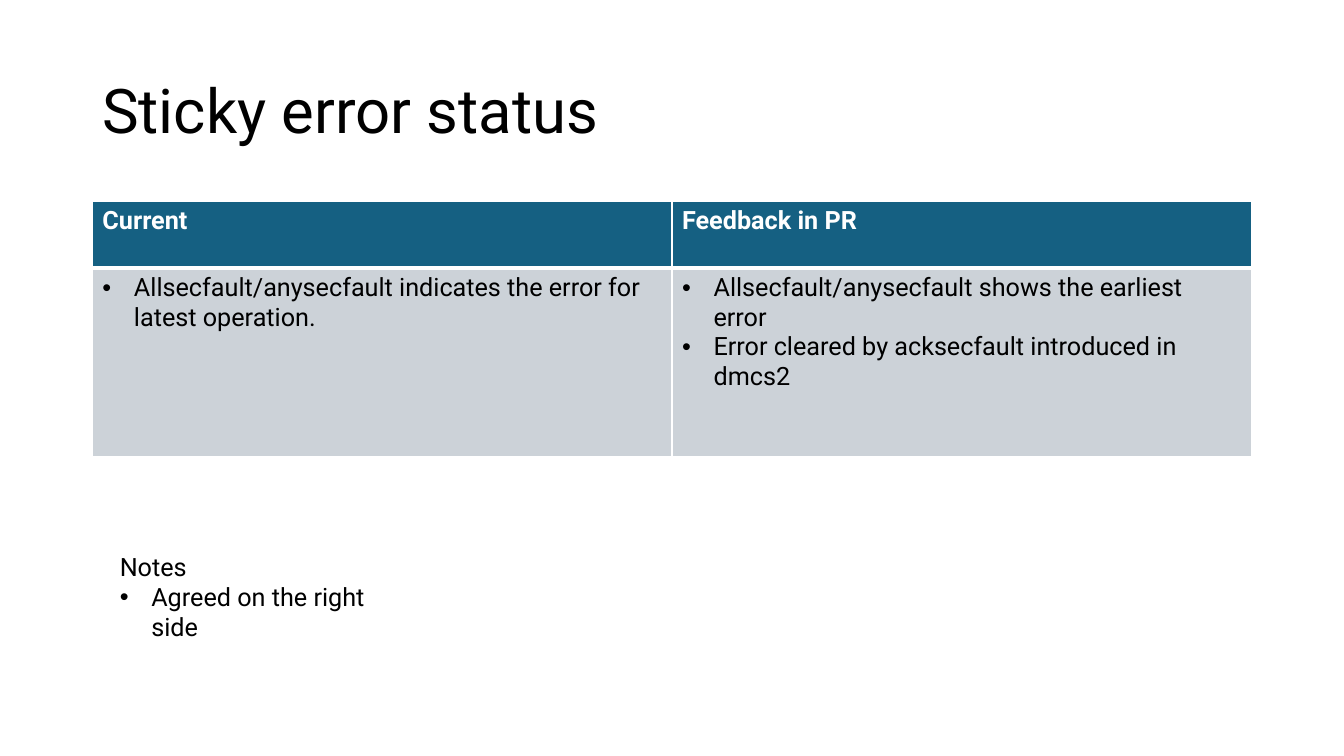
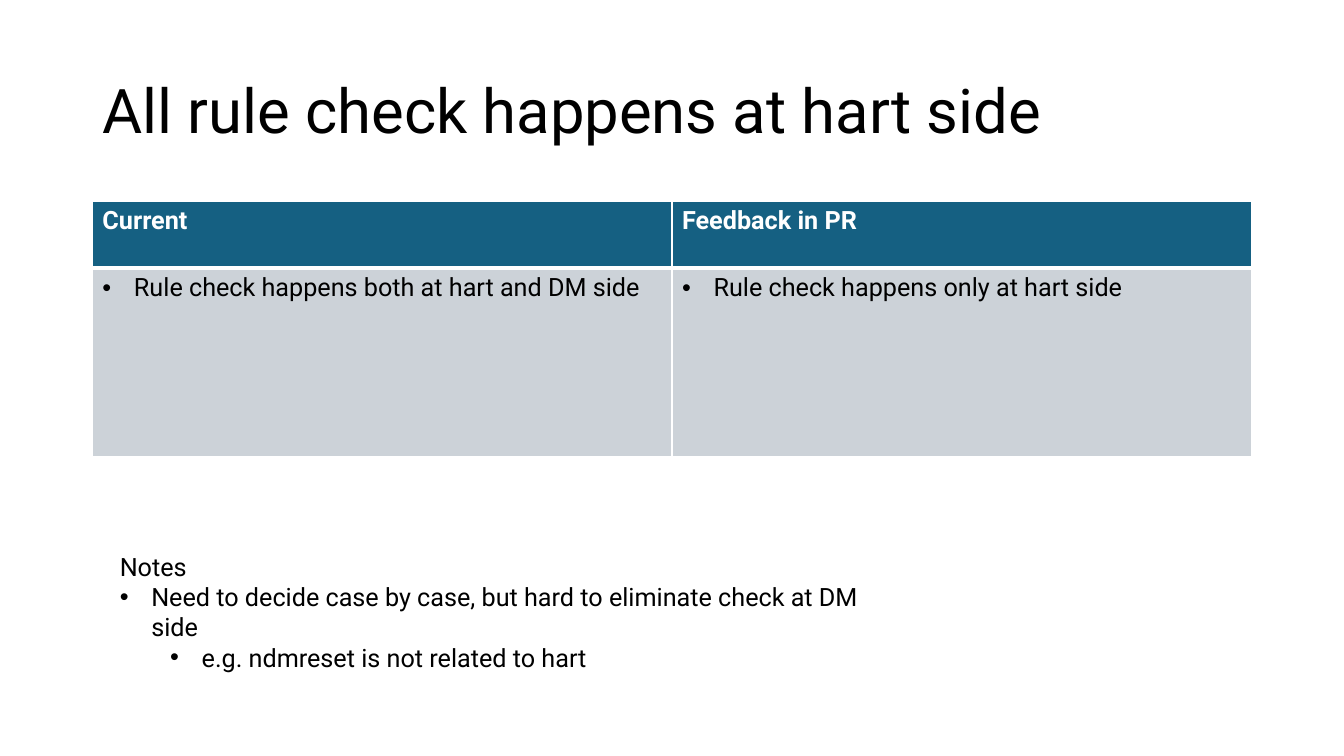
"""Build two slides that compare current behaviour with review feedback."""
import pptx
import pptx.dml.color
import pptx.enum.text
import pptx.oxml
import pptx.oxml.ns
import pptx.util

Pt = pptx.util.Pt
RGBColor = pptx.dml.color.RGBColor
MSO_ANCHOR = pptx.enum.text.MSO_ANCHOR

BLACK = RGBColor(0x00, 0x00, 0x00)
WHITE = RGBColor(0xFF, 0xFF, 0xFF)
HEADER_FILL = RGBColor(0x15, 0x60, 0x82)
BODY_FILL = RGBColor(0xCC, 0xD2, 0xD8)
FONT = "Roboto"
HEADINGS = ["Current", "Feedback in PR"]
HEADER_HEIGHT, BODY_HEIGHT = 47.5, 134.6
BULLET_INDENT, LEVEL_INDENT = 22.5, 36

TITLE_BOX = (66, 28.75, 828, 104.4)
TABLE_BOX = (66, 144, 828, HEADER_HEIGHT + BODY_HEIGHT)
NOTES_LEFT, NOTES_TOP = 78.5, 390.2

SLIDES = [
    {
        "title": "Sticky error status",
        "columns": [
            ["Allsecfault/anysecfault indicates the error for latest operation."],
            ["Allsecfault/anysecfault shows the earliest error",
             "Error cleared by acksecfault introduced in dmcs2"],
        ],
        "notes": [("Agreed on the right side", 0)],
        "notes_size": (220.3, 51),
    },
    {
        "title": "All rule check happens at hart side",
        "columns": [
            ["Rule check happens both at hart and DM side"],
            ["Rule check happens only at hart side"],
        ],
        "notes": [
            ("Need to decide case by case, but hard to eliminate check at DM side", 0),
            ("e.g. ndmreset is not related to hart", 1),
        ],
        "notes_size": (568.8, 72.7),
    },
]


def add_text(tf, text, first=False, size=18, color=BLACK, bold=False,
             bullet_level=None, line_spacing=None):
    """Write one paragraph into a text frame."""
    p = tf.paragraphs[0] if first else tf.add_paragraph()
    if line_spacing:
        p.line_spacing = line_spacing
    if bullet_level is not None:
        p.level = bullet_level
        pPr = p._p.get_or_add_pPr()
        pPr.set("marL", str(Pt(BULLET_INDENT + LEVEL_INDENT * bullet_level)))
        pPr.set("indent", str(-Pt(BULLET_INDENT)))
        ns = pptx.oxml.ns.nsdecls("a")
        pPr.append(pptx.oxml.parse_xml(f'<a:buFont {ns} typeface="Arial"/>'))
        pPr.append(pptx.oxml.parse_xml(f'<a:buChar {ns} char="•"/>'))
    r = p.add_run()
    r.text = text
    r.font.name = FONT
    r.font.size = Pt(size)
    r.font.bold = bold
    r.font.color.rgb = color


def add_box(slide, box):
    """Add a wrapping text box and return its text frame."""
    tf = slide.shapes.add_textbox(*map(Pt, box)).text_frame
    tf.word_wrap = True
    return tf


def add_title(slide, box, text):
    """Add the slide title, centred vertically in its box."""
    tf = add_box(slide, box)
    tf.vertical_anchor = MSO_ANCHOR.MIDDLE
    add_text(tf, text, first=True, size=44, line_spacing=0.9)


def style_cell(cell, fill, top, bottom):
    """Give a cell its fill and white borders."""
    tcPr = cell._tc.get_or_add_tcPr()
    for side, width in (("L", 1), ("R", 1), ("T", top), ("B", bottom)):
        tcPr.append(pptx.oxml.parse_xml(
            f'<a:ln{side} {pptx.oxml.ns.nsdecls("a")} w="{Pt(width)}">'
            f'<a:solidFill><a:srgbClr val="{WHITE}"/></a:solidFill></a:ln{side}>'))
    cell.fill.solid()
    cell.fill.fore_color.rgb = fill


def add_comparison(slide, box, columns):
    """Add the two-row table with a heading and bullets in each column."""
    table = slide.shapes.add_table(2, len(columns), *map(Pt, box)).table
    table.rows[0].height = Pt(HEADER_HEIGHT)
    table.rows[1].height = Pt(BODY_HEIGHT)
    for i, (heading, bullets) in enumerate(zip(HEADINGS, columns)):
        table.columns[i].width = Pt(box[2] / len(columns))
        header, body = table.cell(0, i), table.cell(1, i)
        style_cell(header, HEADER_FILL, top=1, bottom=3)
        style_cell(body, BODY_FILL, top=3, bottom=1)
        add_text(header.text_frame, heading, first=True, color=WHITE, bold=True)
        for j, bullet in enumerate(bullets):
            add_text(body.text_frame, bullet, first=j == 0, bullet_level=0)


def add_notes(slide, box, notes):
    """Add the notes heading and its bullets below the table."""
    tf = add_box(slide, box)
    add_text(tf, "Notes", first=True)
    for text, level in notes:
        add_text(tf, text, bullet_level=level)


def add_feedback_slide(prs, content):
    """Add one slide with a title, a comparison table and notes."""
    slide = prs.slides.add_slide(prs.slide_layouts[6])
    add_title(slide, TITLE_BOX, content["title"])
    add_comparison(slide, TABLE_BOX, content["columns"])
    add_notes(slide, (NOTES_LEFT, NOTES_TOP, *content["notes_size"]), content["notes"])


def main():
    """Build and save the presentation."""
    prs = pptx.Presentation()
    prs.slide_width, prs.slide_height = Pt(960), Pt(540)
    for content in SLIDES:
        add_feedback_slide(prs, content)
    prs.save("out.pptx")


if __name__ == "__main__":
    main()
